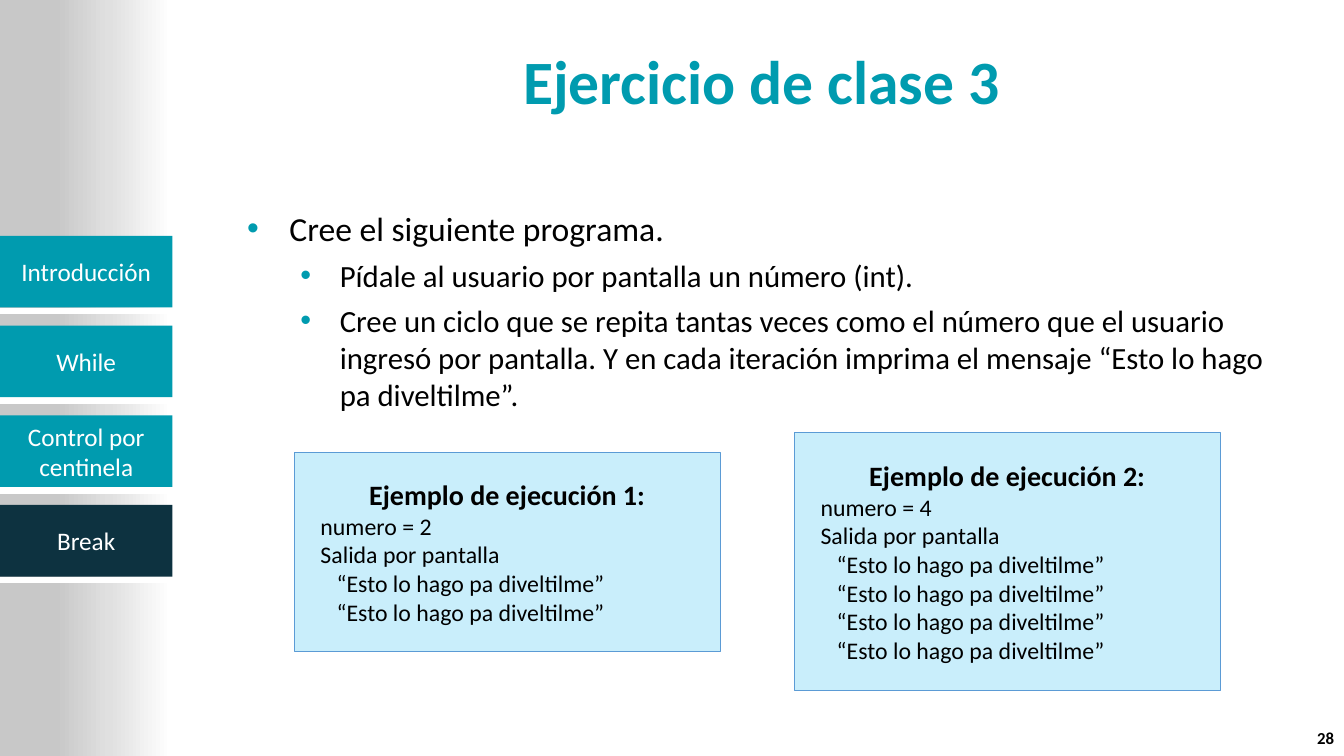
import pptx
import pptx.util
import pptx.dml.color
import pptx.enum.shapes
import pptx.enum.text
import pptx.oxml
import pptx.oxml.ns
from lxml import etree

Inches, Pt = pptx.util.Inches, pptx.util.Pt
RGBColor = pptx.dml.color.RGBColor
ALIGN = pptx.enum.text.PP_ALIGN
ANCHOR = pptx.enum.text.MSO_ANCHOR
RECT = pptx.enum.shapes.MSO_SHAPE.RECTANGLE
qn = pptx.oxml.ns.qn

TEAL = RGBColor(0x00, 0x9B, 0xAF)
NAVY = RGBColor(0x0D, 0x32, 0x40)
SKY = RGBColor(0x00, 0xB0, 0xF0)
BORDER = RGBColor(0x5B, 0x9B, 0xD5)
WHITE = RGBColor(0xFF, 0xFF, 0xFF)
BLACK = RGBColor(0x00, 0x00, 0x00)

# Content
TITLE = "Ejercicio de clase 3"
SECTIONS = ["Introducción", "While", "Control por centinela", "Break"]
CURRENT = "Break"
# text, level, size, left margin, hanging indent, space before
BULLETS = [
    ("Cree el siguiente programa.", 0, 24, 0.5, -0.42, 0),
    ("Pídale al usuario por pantalla un número (int).", 1, 22, 1, -0.39, 6),
    ("Cree un ciclo que se repita tantas veces como el número que el usuario "
     "ingresó por pantalla. Y en cada iteración imprima el mensaje "
     "“Esto lo hago pa diveltilme”.", 1, 22, 1, -0.39, 6),
]
MESSAGE = "“Esto lo hago pa diveltilme”"
# repetitions, box
EXAMPLES = [(2, (2.92, 4.49, 4.22, 1.97)), (4, (7.88, 4.29, 4.22, 2.56))]
PAGE = "28"
FADE = [(0, "FFFFFF"), (36, "E0E0E0"), (67, "C8C8C8")]

# Layout
MENU_W, MENU_TOP, MENU_STEP, BUTTON_H, STRIPE_H = 1.71, 2.34, 0.89, 0.71, 0.05

prs = pptx.Presentation()
prs.slide_width, prs.slide_height = Inches(13.33), Inches(7.5)
s = prs.slides.add_slide(prs.slide_layouts[1])


def place(sp, left, top, width, height):
    sp.left, sp.top = Inches(left), Inches(top)
    sp.width, sp.height = Inches(width), Inches(height)


def add_rect(box, fill=None, line=None, weight=1.25):
    sp = s.shapes.add_shape(RECT, *map(Inches, box))
    sp.shadow.inherit = False
    if fill is not None:
        sp.fill.solid()
        sp.fill.fore_color.rgb = fill
    if line is None:
        sp.line.fill.background()
    else:
        sp.line.color.rgb = line
        sp.line.width = Pt(weight)
    return sp


def setup(sp, anchor=ANCHOR.MIDDLE):
    tf = sp.text_frame
    tf.word_wrap = True
    tf.auto_size = pptx.enum.text.MSO_AUTO_SIZE.NONE
    tf.vertical_anchor = anchor
    return tf


def write(p, text, color, size, bold=False, align=ALIGN.LEFT):
    p.alignment = align
    r = p.add_run()
    r.text = text
    fmt = {"name": "Calibri", "size": Pt(size), "bold": bold}
    for name, value in fmt.items():
        setattr(r.font, name, value)
    r.font.color.rgb = color


def set_indent(p, left, hanging=0):
    pPr = p._p.get_or_add_pPr()
    pPr.set("marL", str(Inches(left)))
    pPr.set("indent", str(Inches(hanging)))
    return pPr


# Side band fading to white
band = add_rect((-0.01, 0, MENU_W, 7.5))
band.fill.gradient()
grad = band._element.spPr.find(qn("a:gradFill"))
stops = grad.find(qn("a:gsLst"))
for stop in list(stops):
    stops.remove(stop)
for pos, color in FADE:
    gs = etree.SubElement(stops, qn("a:gs"), pos=str(pos * 1000))
    etree.SubElement(gs, qn("a:srgbClr"), val=color)
grad.find(qn("a:lin")).set("ang", str(180 * 60000))

# Section menu
for i, section in enumerate(SECTIONS):
    top = MENU_TOP + i * MENU_STEP
    add_rect((0, top + BUTTON_H + 0.01, MENU_W, STRIPE_H), WHITE, WHITE)
    sp = add_rect((0, top, MENU_W, BUTTON_H), NAVY if section == CURRENT else TEAL)
    write(setup(sp).paragraphs[0], section, WHITE, 18, align=ALIGN.CENTER)

# Title
title = s.shapes.title
place(title, 2.27, 0.24, 10.57, 1.11)
write(setup(title).paragraphs[0], TITLE, TEAL, 44, True, ALIGN.CENTER)

# Bulleted instructions
body = s.placeholders[1]
place(body, 2.27, 2.01, 10.57, 4.63)
tf = setup(body, ANCHOR.TOP)
for i, (text, level, size, left, hanging, before) in enumerate(BULLETS):
    p = tf.add_paragraph() if i else tf.paragraphs[0]
    p.level = level
    pPr = set_indent(p, left, hanging)
    clr = etree.SubElement(pPr, qn("a:buClr"))
    etree.SubElement(clr, qn("a:srgbClr"), val=str(TEAL))
    etree.SubElement(pPr, qn("a:buFont"), typeface="Arial")
    etree.SubElement(pPr, qn("a:buChar"), char="•")
    p.space_before = Pt(before)
    write(p, text, BLACK, size)

# Example runs
for number, (count, box) in enumerate(EXAMPLES, 1):
    sp = add_rect(box, SKY, BORDER, 0.5)
    clr = sp._element.spPr.find(qn("a:solidFill")).find(qn("a:srgbClr"))
    etree.SubElement(clr, qn("a:alpha"), val="21000")
    tf = setup(sp)
    write(tf.paragraphs[0], f"Ejemplo de ejecución {number}:", BLACK, 20, True, ALIGN.CENTER)
    lines = [(f"numero = {count}", 0.16), ("Salida por pantalla", 0.16)]
    for text, indent in lines + [(MESSAGE, 0.32)] * count:
        p = tf.add_paragraph()
        set_indent(p, indent)
        write(p, text, BLACK, 17)

# Page number
sp = s.shapes.add_textbox(*map(Inches, (12.81, 7.15, 0.52, 0.34)))
write(setup(sp).paragraphs[0], PAGE, BLACK, 12, True, ALIGN.RIGHT)

prs.save("out.pptx")
